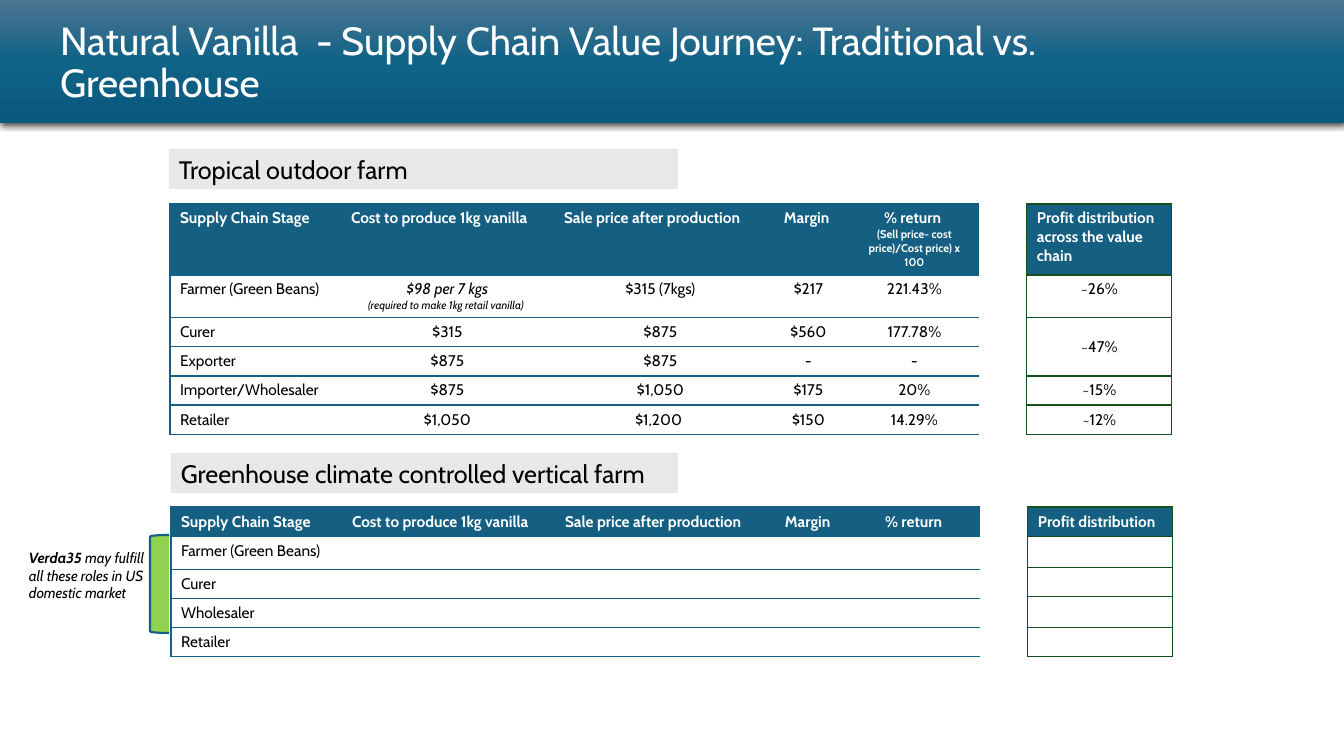
from pptx import Presentation
from pptx import util as u
from pptx.dml.color import RGBColor
from pptx.enum import shapes, text
from pptx.oxml import parse_xml
from pptx.oxml.ns import nsdecls

PX = 914400 / 100.8
FONT = "Cabin"
BLUE, GREEN, GREY = "156082", "13501B", "E8E8E8"
BLACK, WHITE = "000000", "FFFFFF"
NO_STYLE = "{2D5ABB26-0587-4C30-8999-92F81FD0307C}"
COLUMNS = [171, 213, 213, 83, 129, 48, 145]
SPACER, PROFIT = 5, 6
HEADINGS = ["Supply Chain Stage", "Cost to produce 1kg vanilla",
            "Sale price after production", "Margin "]

# A pair holds a main line and a small second line
OUTDOOR = [
    HEADINGS + [("% return ", "(Sell price- cost price)/Cost price) x 100"), "",
                "Profit distribution across the value chain"],
    ["Farmer (Green Beans)", ("$98 per 7 kgs", "(required to make 1kg retail vanilla) "),
     "$315 (7kgs)", "$217", "221.43%", "", "~26%"],
    ["Curer", "$315", "$875", "$560", "177.78%", "", "~47%"],
    ["Exporter", "$875", "$875", "-", "-", "", ""],
    ["Importer/Wholesaler", "$875", "$1,050", "$175", "20%", "", "~15%"],
    ["Retailer", "$1,050", "$1,200 ", "$150", "14.29%", "", "~12%"],
]
OUTDOOR_MERGES = [(2, 3, PROFIT)]

# Stage rows and profit rows are offset, so thin rows are merged either way
GREENHOUSE = [HEADINGS + ["% return ", "", "Profit distribution"]] + [
    [stage] + [""] * 6
    for stage in ("Farmer (Green Beans)", "", "Curer", "", "Wholesaler", "Retailer")]
GREENHOUSE_MERGES = [(first, first + 1, col) for first in (1, 3) for col in range(PROFIT)]
GREENHOUSE_MERGES += [(first, first + 1, PROFIT) for first in (2, 4)]


def px(n):
    return u.Emu(round(n * PX))


def box(*lengths):
    return [px(n) for n in lengths]


def color(hex_code):
    return RGBColor.from_string(hex_code)


def add_run(p, words, size, hex_code=BLACK, bold=False, italic=False):
    r = p.add_run()
    r.text = words
    r.font.name, r.font.size = FONT, u.Pt(size)
    r.font.bold, r.font.italic = bold, italic
    r.font.color.rgb = color(hex_code)


def add_box(slide, kind, place, fill=None, line=None):
    sp = slide.shapes.add_shape(kind, *box(*place))
    sp.shadow.inherit = False
    if fill:
        sp.fill.solid()
        sp.fill.fore_color.rgb = color(fill)
    if line:
        sp.line.color.rgb = color(line)
        sp.line.width = u.Pt(1.5)
    else:
        sp.line.fill.background()
    return sp


def add_header(slide, title):
    # Gradient band with a soft shadow, behind the title
    sp = add_box(slide, shapes.MSO_SHAPE.RECTANGLE, (0, 0, 1344, 123))
    stops = "".join(
        f'<a:gs pos="{pos}"><a:srgbClr val="{c}"/></a:gs>'
        for pos, c in ((0, "4C7591"), (50000, "106287"), (100000, "09597D")))
    props = sp._element.spPr
    props.insert(2, parse_xml(
        f'<a:gradFill {nsdecls("a")} rotWithShape="1"><a:gsLst>{stops}</a:gsLst>'
        '<a:lin ang="5400000" scaled="0"/></a:gradFill>'))
    props[-1].append(parse_xml(
        f'<a:outerShdw {nsdecls("a")} blurRad="57150" dist="19050" dir="5400000" '
        'algn="ctr" rotWithShape="0"><a:srgbClr val="000000">'
        '<a:alpha val="63000"/></a:srgbClr></a:outerShdw>'))
    slide.shapes._spTree.insert(2, sp._element)

    ph = slide.shapes.title
    ph.left, ph.top, ph.width, ph.height = box(50, 0, 1166, 128)
    tf = ph.text_frame
    tf.vertical_anchor = text.MSO_ANCHOR.MIDDLE
    tf.auto_size = text.MSO_AUTO_SIZE.NONE
    p = tf.paragraphs[0]
    p.alignment, p.line_spacing = text.PP_ALIGN.LEFT, 0.9
    add_run(p, title, 28, WHITE)


def add_section_bar(slide, place, words):
    sp = add_box(slide, shapes.MSO_SHAPE.RECTANGLE, place, GREY)
    p = sp.text_frame.paragraphs[0]
    p.alignment = text.PP_ALIGN.LEFT
    add_run(p, words, 18)


def set_borders(cell, sides, hex_code):
    props = cell._tc.get_or_add_tcPr()
    for side in "LRTB":
        if side in sides:
            props.append(parse_xml(
                f'<a:ln{side} {nsdecls("a")} w="12700"><a:solidFill>'
                f'<a:srgbClr val="{hex_code}"/></a:solidFill></a:ln{side}>'))


def style_cell(cell, row, col):
    if col == PROFIT:
        set_borders(cell, "LRTB", GREEN)
    elif col == SPACER:
        set_borders(cell, "R", GREEN)
    else:
        set_borders(cell, "LTB" if col == 0 else "TB", BLUE)
    cell.fill.solid()
    cell.fill.fore_color.rgb = color(BLUE if row == 0 and col != SPACER else WHITE)


def write_cell(cell, content, row, col):
    heading = row == 0
    pair = isinstance(content, tuple)
    left = col == 0 or (heading and col in (1, 2, PROFIT))
    tf = cell.text_frame
    for i, line in enumerate(content if pair else [content]):
        p = tf.add_paragraph() if i else tf.paragraphs[0]
        p.alignment = text.PP_ALIGN.LEFT if left else text.PP_ALIGN.CENTER
        if line:
            add_run(p, line, 8 if i else 11, WHITE if heading else BLACK,
                    heading, pair and not heading)
        else:
            # Keeps an empty cell from stretching its row
            p._p.append(parse_xml(f'<a:endParaRPr {nsdecls("a")} sz="1100"/>'))


def add_chain_table(slide, left, top, heights, rows, merges):
    frame = slide.shapes.add_table(
        len(rows), len(COLUMNS), *box(left, top, sum(COLUMNS), sum(heights)))
    table = frame.table
    table.horz_banding = False
    table._tbl.tblPr[0].text = NO_STYLE
    for column, width in zip(table.columns, COLUMNS):
        column.width = px(width)
    for row, height in zip(table.rows, heights):
        row.height = px(height)
    for first, last, col in merges:
        origin = table.cell(first, col)
        origin.merge(table.cell(last, col))
        if col == PROFIT:
            origin.vertical_anchor = text.MSO_ANCHOR.MIDDLE
    for r, row in enumerate(rows):
        for c, content in enumerate(row):
            cell = table.cell(r, c)
            if not cell.is_spanned:
                style_cell(cell, r, c)
                write_cell(cell, content, r, c)


def add_role_note(slide):
    # Bracket and note beside the greenhouse stages
    add_box(slide, shapes.MSO_SHAPE.LEFT_BRACKET, (150, 535, 19, 98), "92D050", BLUE)
    tf = slide.shapes.add_textbox(*box(19, 544, 141, 82)).text_frame
    tf.word_wrap = True
    p = tf.paragraphs[0]
    add_run(p, "Verda35 ", 10.5, bold=True, italic=True)
    add_run(p, "may fulfill all these roles in US domestic market", 10.5, italic=True)


def main():
    prs = Presentation()
    prs.slide_width, prs.slide_height = box(1344, 756)
    s = prs.slides.add_slide(prs.slide_layouts[5])
    add_header(s, "Natural Vanilla  - Supply Chain Value Journey: Traditional vs. Greenhouse")

    # Traditional farm
    add_chain_table(s, 170, 204, [71, 42] + [29] * 4, OUTDOOR, OUTDOOR_MERGES)

    # Greenhouse farm
    add_chain_table(s, 171, 507, [29, 31, 2, 27, 2, 29, 29], GREENHOUSE, GREENHOUSE_MERGES)
    add_role_note(s)

    # Section bars
    add_section_bar(s, (171, 453, 507, 40), "Greenhouse climate controlled vertical farm")
    add_section_bar(s, (169, 149, 509, 40), "Tropical outdoor farm")
    prs.save("out.pptx")


if __name__ == "__main__":
    main()
